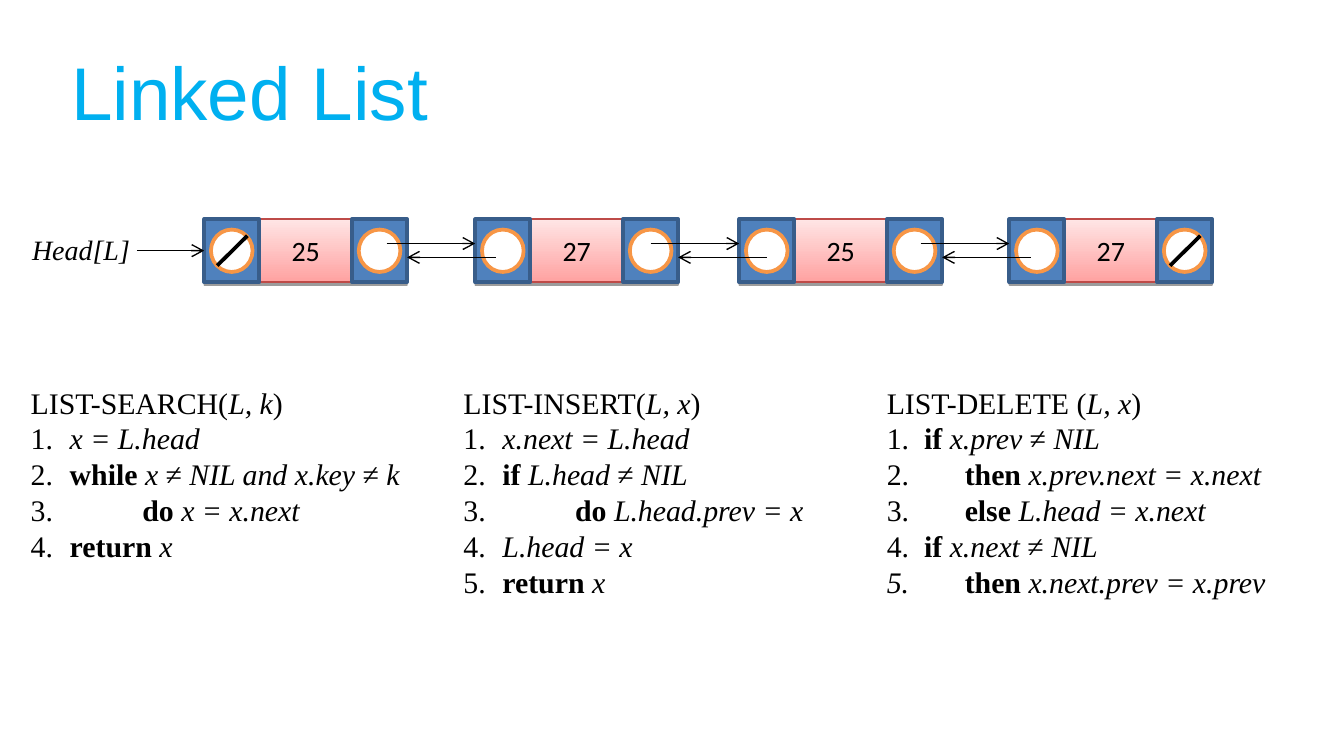
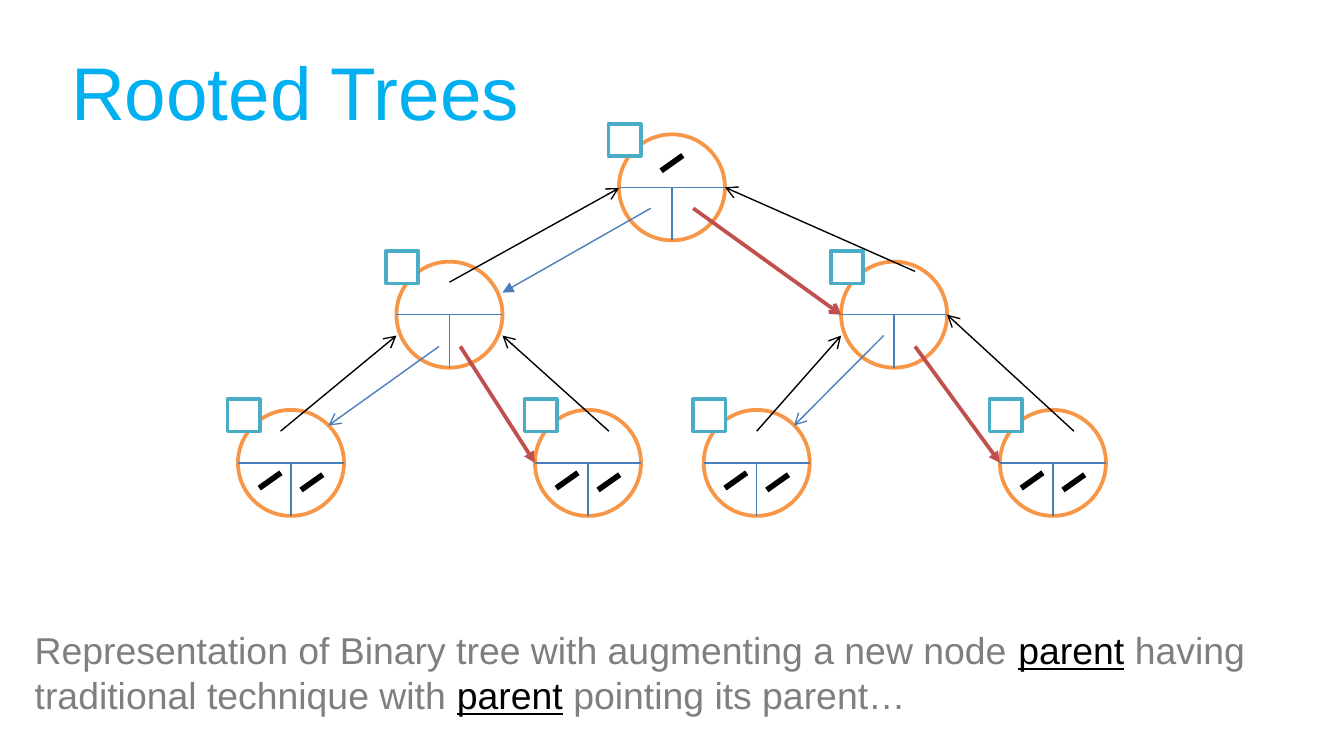
from dataclasses import dataclass

from lxml.etree import SubElement
from pptx import Presentation
from pptx.dml.color import RGBColor
from pptx.enum.shapes import MSO_CONNECTOR, MSO_SHAPE
from pptx.enum.text import MSO_ANCHOR, PP_ALIGN
from pptx.oxml.ns import qn
from pptx.util import Pt


@dataclass(frozen=True)
class Theme:
    """Colours, line widths, fonts and type sizes of the deck."""

    title: str = "00B0F0"
    ink: str = "000000"
    paper: str = "FFFFFF"
    muted: str = "7F7F7F"
    ring: str = "F79646"
    badge: str = "4BACC6"
    cell: str = "4F81BD"
    cell_edge: str = "385D8A"
    key_edge: str = "BE4B48"
    key_dark: str = "FFA2A1"
    key_light: str = "FFE5E5"
    left_pointer: str = "4A7EBB"
    right_pointer: str = "C0504D"
    thin: float = 0.75
    bold_line: float = 2
    null_line: float = 3
    sans: str = "Arial"
    serif: str = "Times New Roman"
    key_font: str = "Calibri"
    title_size: int = 40
    note_size: int = 20
    code_size: int = 16
    label_size: int = 15


THEME = Theme()
TITLE = {"name": THEME.sans, "size": Pt(THEME.title_size)}
NOTE = {"name": THEME.sans, "size": Pt(THEME.note_size)}
CODE = {"name": THEME.serif, "size": Pt(THEME.code_size)}
LABEL = {"name": THEME.serif, "size": Pt(THEME.label_size)}
KEY = {"name": THEME.key_font, "size": Pt(THEME.label_size)}

NODE_TOP, NODE_WIDTH, NODE_HEIGHT, CELL_WIDTH = 117.4, 108.7, 33.8, 29.5
NODE_MIDDLE = NODE_TOP + NODE_HEIGHT / 2
LINK_LENGTH = 47.5
LIST_NODES = [(109.4, "25"), (254.6, "27"), (396, "25"), (540.7, "27")]

RADIUS, BADGE_SIZE, BADGE_OFFSET = 28.4, 17.3, 34
TREE_NODES = {
    "root": (360, 100.4),
    "left": (240.8, 168.6),
    "right": (479, 168.6),
    "left left": (155.9, 248),
    "left right": (315, 248),
    "right left": (405.4, 248),
    "right right": (564.1, 248),
}
LEFT = (THEME.left_pointer, THEME.thin)
RIGHT = (THEME.right_pointer, THEME.bold_line)
PARENT = (THEME.ink, THEME.thin)
TREE_POINTERS = [
    (LEFT, "root", (-11.4, 11.2), "left", (RADIUS, -11.8), "triangle"),
    (RIGHT, "root", (11.4, 11.2), "right", (-RADIUS, 0), "arrow"),
    (PARENT, "left", (0, -17.4), "root", (-RADIUS, 0.4), "arrow"),
    (PARENT, "right", (11.2, -23.2), "root", (RADIUS, 0), "arrow"),
    (LEFT, "left", (-5.6, 17), "left left", (20, -20), "arrow"),
    (RIGHT, "left", (5.8, 17), "left right", (-RADIUS, 0), "triangle"),
    (PARENT, "left left", (-5.6, -17), "left", (-RADIUS, 11.2), "arrow"),
    (PARENT, "left right", (11.2, -17), "left", (RADIUS, 11.2), "arrow"),
    (PARENT, "right left", (0, -17), "right", (-RADIUS, 11.2), "arrow"),
    (LEFT, "right", (-5.6, 11.2), "right left", (20, -20), "arrow"),
    (RIGHT, "right", (11.2, 17), "right right", (-RADIUS, 0), "triangle"),
    (PARENT, "right right", (11.2, -17), "right", (RADIUS, 0), "arrow"),
]


def plain(text):
    """Describe a run of upright text."""
    return text, {}


def bold(text):
    """Describe a run of bold text."""
    return text, {"bold": True}


def italic(text):
    """Describe a run of italic text."""
    return text, {"italic": True}


SEARCH = [
    [plain("LIST-SEARCH("), italic("L, k"), plain(")")],
    [plain("1. \t"), italic("x = L.head")],
    [plain("2. \t"), bold("while "), italic("x "), plain("≠"),
     italic(" NIL and x.key "), plain("≠"), italic(" k")],
    [plain("3. \t\t"), bold("do "), italic("x = x.next")],
    [plain("4. \t"), bold("return "), italic("x")],
]
INSERT = [
    [plain("LIST-INSERT("), italic("L, x"), plain(")")],
    [plain("1. \t"), italic("x.next = L.head")],
    [plain("2. \t"), bold("if "), italic("L.head "), plain("≠"), italic(" NIL")],
    [plain("3. \t\t"), bold("do "), italic("L.head.prev = x")],
    [plain("4. \t"), italic("L.head = x")],
    [plain("5. \t"), bold("return "), italic("x")],
]
DELETE = [
    [plain("LIST-DELETE ("), italic("L, x"), plain(")")],
    [plain("1. \t"), bold("if "), italic("x.prev "), plain("≠ "), italic("NIL")],
    [plain("2. \t\t"), bold("then "), italic("x.prev.next = x.next")],
    [plain("3. \t\t"), bold("else "), italic("L.head = x.next")],
    [plain("4. \t"), bold("if "), italic("x.next"), plain(" ≠ "), italic("NIL")],
    [italic("5. \t\t"), bold("then "), italic("x.next.prev = x.prev")],
]
PROCEDURES = [
    (9.4, 221, SEARCH, (20.9, 59.8)),
    (241.2, 209.5, INSERT, (20.9, 59.8)),
    (468, 244, DELETE, (20, 41.8)),
]


def add_run(paragraph, text, font_format, color):
    """Append one formatted run to a paragraph."""
    run = paragraph.add_run()
    run.text = text
    for name, value in font_format.items():
        setattr(run.font, name, value)
    run.font.color.rgb = RGBColor.from_string(color)


def set_tabs(paragraph, stops):
    """Give a paragraph left tab stops."""
    tab_list = SubElement(paragraph._p.get_or_add_pPr(), qn("a:tabLst"))
    for stop in stops:
        SubElement(tab_list, qn("a:tab"), pos=str(int(Pt(stop))), algn="l")


def add_text(slide, box, lines, font_format, color=THEME.ink, tabs=(), wrap=True):
    """Add a text box whose lines are lists of runs."""
    frame = slide.shapes.add_textbox(*map(Pt, box)).text_frame
    frame.word_wrap = wrap
    for index, runs in enumerate(lines):
        paragraph = frame.add_paragraph() if index else frame.paragraphs[0]
        if tabs:
            set_tabs(paragraph, tabs)
        for text, style in runs:
            style = {"color": color, **style}
            run_color = style.pop("color")
            add_run(paragraph, text, {**font_format, **style}, run_color)


def add_shape(shapes, kind, box, fill, edge, width=THEME.bold_line):
    """Add a filled and outlined preset shape without shadow."""
    shape = shapes.add_shape(kind, *map(Pt, box))
    shape.shadow.inherit = False
    shape.fill.solid()
    shape.fill.fore_color.rgb = RGBColor.from_string(fill)
    shape.line.color.rgb = RGBColor.from_string(edge)
    shape.line.width = Pt(width)
    return shape


def add_line(shapes, start, end, color=THEME.ink, width=THEME.thin, head=None):
    """Add a straight line, with an arrowhead at its end if asked."""
    line = shapes.add_connector(MSO_CONNECTOR.STRAIGHT, *map(Pt, (*start, *end)))
    line.line.color.rgb = RGBColor.from_string(color)
    line.line.width = Pt(width)
    if head:
        SubElement(line.line._get_or_add_ln(), qn("a:tailEnd"), type=head)
    SubElement(line._element.spPr, qn("a:effectLst"))
    return line


def add_null_mark(shapes, center, reach, width):
    """Add a rising stroke that marks a null pointer."""
    x, y = center
    dx, dy = reach
    add_line(shapes, (x + dx, y - dy), (x - dx, y + dy), width=width)


def add_key_box(slide, left, key):
    """Add the shaded box that holds the key of a list node."""
    box = (left, NODE_TOP, NODE_WIDTH, NODE_HEIGHT)
    shape = add_shape(slide.shapes, MSO_SHAPE.RECTANGLE, box,
                      THEME.key_light, THEME.key_edge, THEME.thin)
    shape.fill.gradient()
    shape.fill.gradient_angle = 90
    for stop, color in zip(shape.fill.gradient_stops, (THEME.key_dark, THEME.key_light)):
        stop.color.rgb = RGBColor.from_string(color)
    effects = shape._element.spPr.find(qn("a:effectLst"))
    shadow = SubElement(effects, qn("a:outerShdw"), blurRad="0",
                        dist=str(int(Pt(1.6))), dir="5400000", rotWithShape="0")
    shade = SubElement(shadow, qn("a:srgbClr"), val=THEME.ink)
    SubElement(shade, qn("a:alpha"), val="38000")
    shape.text_frame.vertical_anchor = MSO_ANCHOR.MIDDLE
    paragraph = shape.text_frame.paragraphs[0]
    paragraph.alignment = PP_ALIGN.CENTER
    add_run(paragraph, key, KEY, THEME.ink)


def add_pointer_cell(slide, left, is_null):
    """Add a pointer cell with its ring, struck through when null."""
    cell = add_shape(slide.shapes, MSO_SHAPE.RECTANGLE,
                     (left, NODE_TOP, CELL_WIDTH, NODE_HEIGHT), THEME.cell, THEME.cell_edge)
    add_shape(slide.shapes, MSO_SHAPE.OVAL, (left + 3.6, NODE_TOP + 5.6, 22.3, 22.7),
              THEME.paper, THEME.ring)
    if is_null:
        add_null_mark(slide.shapes, (left + CELL_WIDTH / 2 + 0.3, NODE_MIDDLE),
                      (8.1, 8), THEME.bold_line)
    return cell


def add_list_node(slide, left, key, is_first, is_last):
    """Add a list node and return its previous-pointer cell."""
    add_key_box(slide, left, key)
    add_pointer_cell(slide, left + NODE_WIDTH - CELL_WIDTH, is_last)
    return add_pointer_cell(slide, left, is_first)


def add_tree_node(slide, center):
    """Add a grouped tree node: ring, two dividers and badge."""
    x, y = center
    shapes = slide.shapes.add_group_shape().shapes
    add_shape(shapes, MSO_SHAPE.OVAL, (x - RADIUS, y - RADIUS, 2 * RADIUS, 2 * RADIUS),
              THEME.paper, THEME.ring)
    add_line(shapes, (x - RADIUS, y), (x + RADIUS, y), THEME.left_pointer)
    add_line(shapes, (x, y), (x, y + RADIUS), THEME.left_pointer)
    add_shape(shapes, MSO_SHAPE.RECTANGLE,
              (x - BADGE_OFFSET, y - BADGE_OFFSET, BADGE_SIZE, BADGE_SIZE),
              THEME.paper, THEME.badge)


def shift(point, offset):
    """Move a point by an offset."""
    return point[0] + offset[0], point[1] + offset[1]


def add_titled_slide(presentation, title):
    """Add a blank slide with the shared title style."""
    slide = presentation.slides.add_slide(presentation.slide_layouts[6])
    add_text(slide, (31, 20.9, 652.3, 55.4), [[plain(title)]], TITLE, THEME.title)
    return slide


def build_linked_list(presentation):
    """Build the doubly linked list slide."""
    slide = add_titled_slide(presentation, "Linked List")
    last = len(LIST_NODES) - 1
    cells = [add_list_node(slide, left, key, index == 0, index == last)
             for index, (left, key) in enumerate(LIST_NODES)]
    for (left, _), (following, _) in zip(LIST_NODES, LIST_NODES[1:]):
        right = left + NODE_WIDTH
        add_line(slide.shapes, (following - LINK_LENGTH, 130.5), (following, 130.5), head="arrow")
        add_line(slide.shapes, (right + LINK_LENGTH, 137.9), (right, 137.9), head="arrow")
    add_text(slide, (10.1, 121, 67, 25.2), [[italic("Head[L]")]], LABEL, wrap=False)
    head_arrow = add_line(slide.shapes, (73.4, NODE_MIDDLE), (109.4, NODE_MIDDLE), head="arrow")
    head_arrow.end_connect(cells[0], 1)
    for left, width, lines, tabs in PROCEDURES:
        add_text(slide, (left, 202.3, width, 20 * len(lines)), lines, CODE, tabs=tabs)


def build_rooted_trees(presentation):
    """Build the binary tree slide."""
    slide = add_titled_slide(presentation, "Rooted Trees")
    parent = ("parent", {"color": THEME.ink, "underline": True})
    note = [plain("Representation of Binary tree with augmenting a new node "), parent,
            plain(" having traditional technique with "), parent,
            plain(" pointing its parent…")]
    add_text(slide, (11.5, 332.6, 699.8, 55.4), [note], NOTE, THEME.muted)
    for center in TREE_NODES.values():
        add_tree_node(slide, center)
    for (color, width), source, leave, target, arrive, head in TREE_POINTERS:
        add_line(slide.shapes, shift(TREE_NODES[source], leave),
                 shift(TREE_NODES[target], arrive), color, width, head)
    leaves = [center for name, center in TREE_NODES.items() if " " in name]
    null_marks = [shift(leaf, offset) for leaf in leaves
                  for offset in ((-11.2, 9.4), (11.2, 10.4))]
    for center in [*null_marks, shift(TREE_NODES["root"], (0, -13))]:
        add_null_mark(slide.shapes, center, (5.8, 4.1), THEME.null_line)


def main():
    """Build and save the deck."""
    presentation = Presentation()
    presentation.slide_width, presentation.slide_height = Pt(720), Pt(405)
    build_linked_list(presentation)
    build_rooted_trees(presentation)
    presentation.save("out.pptx")


if __name__ == "__main__":
    main()
